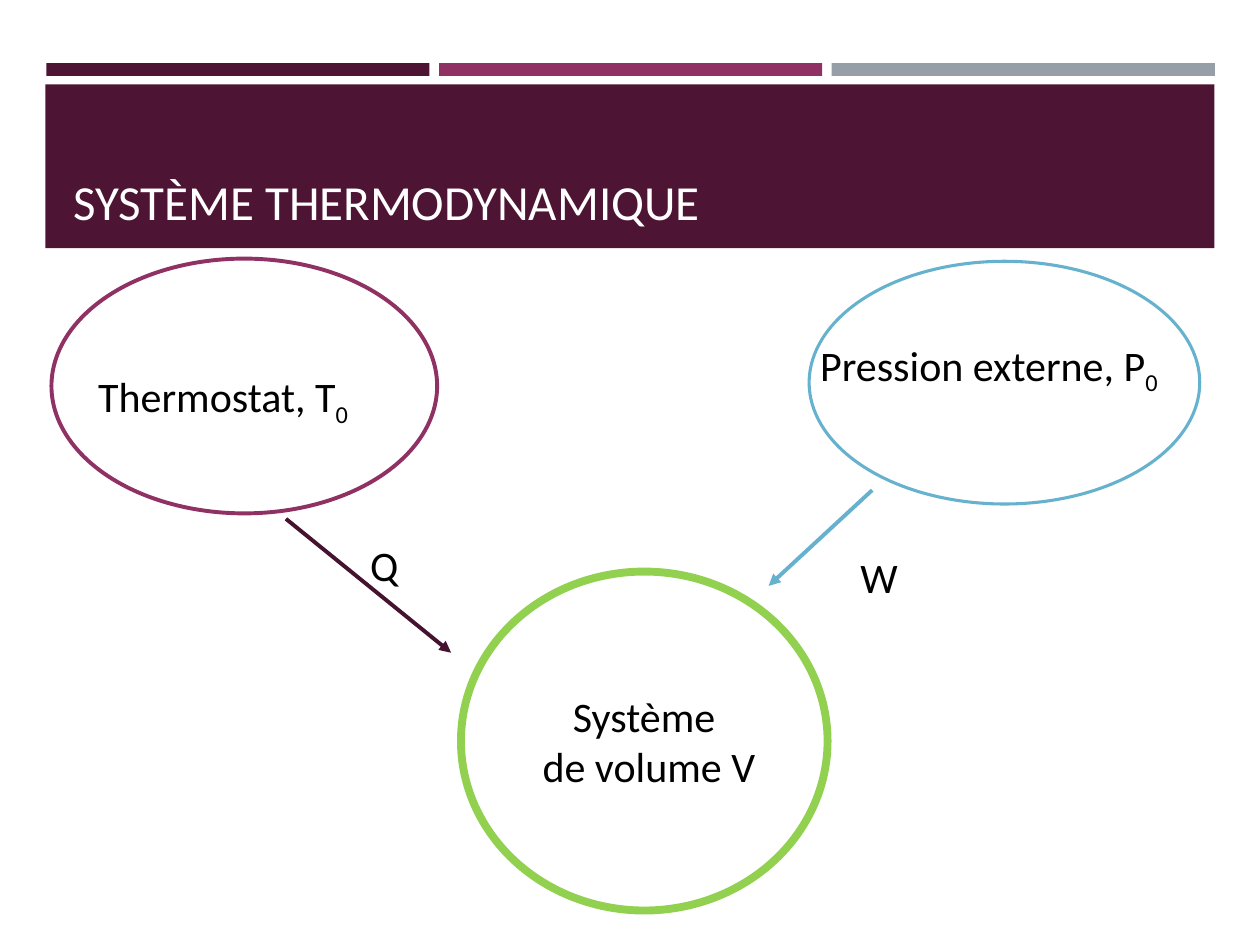
from dataclasses import dataclass

import pptx
import pptx.dml.color
import pptx.enum.shapes
import pptx.enum.text
import pptx.oxml.ns
import pptx.util
from lxml import etree

Pt = pptx.util.Pt
SHAPE = pptx.enum.shapes.MSO_SHAPE
ALIGN = pptx.enum.text.PP_ALIGN
ANCHOR = pptx.enum.text.MSO_ANCHOR


@dataclass(frozen=True)
class Theme:
    font: str = "Calibri"
    title_size: float = 28
    body_size: float = 24
    white: str = "FFFFFF"
    black: str = "000000"
    plum: str = "4D1434"
    magenta: str = "903163"
    grey: str = "969FA7"
    blue: str = "66B1CE"
    green: str = "92D050"
    heat: str = "45122F"


THEME = Theme()


def rgb(color):
    return pptx.dml.color.RGBColor.from_string(color)


def set_values(target, values):
    for name, value in values.items():
        setattr(target, name, value)


def format_run(run, size, color):
    set_values(run.font, {"name": THEME.font, "size": Pt(size), "bold": False})
    run.font.color.rgb = rgb(color)


def add_rectangle(slide, box, color):
    shape = slide.shapes.add_shape(SHAPE.RECTANGLE, *map(Pt, box))
    shape.shadow.inherit = False
    shape.fill.solid()
    shape.fill.fore_color.rgb = rgb(color)
    shape.line.fill.background()


def add_ellipse(slide, box, color, width):
    shape = slide.shapes.add_shape(SHAPE.OVAL, *map(Pt, box))
    shape.shadow.inherit = False
    shape.fill.background()
    shape.line.color.rgb = rgb(color)
    shape.line.width = Pt(width)


def add_label(slide, box, lines, align=ALIGN.LEFT, fill=None):
    """Add a text box; each line is a (text, subscript) pair."""
    shape = slide.shapes.add_textbox(*map(Pt, box))
    if fill:
        shape.fill.solid()
        shape.fill.fore_color.rgb = rgb(fill)
    frame = shape.text_frame
    frame.word_wrap = True
    for index, (text, subscript) in enumerate(lines):
        paragraph = frame.add_paragraph() if index else frame.paragraphs[0]
        paragraph.alignment = align
        for part, baseline in ((text, None), (subscript, "-25000")):
            if not part:
                continue
            run = paragraph.add_run()
            run.text = part
            format_run(run, THEME.body_size, THEME.black)
            if baseline:
                run.font._element.set("baseline", baseline)


def add_arrow(slide, start, end, color):
    connector = slide.shapes.add_connector(
        pptx.enum.shapes.MSO_CONNECTOR.STRAIGHT, *map(Pt, start + end))
    connector.line.color.rgb = rgb(color)
    connector.line.width = Pt(2.25)
    tail = etree.SubElement(connector.line._get_or_add_ln(),
                            pptx.oxml.ns.qn("a:tailEnd"))
    tail.set("type", "triangle")
    etree.SubElement(connector._element.spPr, pptx.oxml.ns.qn("a:effectLst"))


def add_header(slide, text):
    bar_width, pitch = 218.9, 224.4
    for index, color in enumerate((THEME.plum, THEME.magenta, THEME.grey)):
        add_rectangle(slide, (26.5 + index * pitch, 36, bar_width, 7.4), color)
    add_rectangle(slide, (26, 48.3, 668, 93.5), THEME.plum)

    title = slide.shapes.title
    slide.shapes._spTree.append(title._element)  # bring in front of the band
    set_values(title, {"left": Pt(34.6), "top": Pt(55.4),
                       "width": Pt(651.6), "height": Pt(80)})
    frame = title.text_frame
    set_values(frame, {"text": text, "word_wrap": True,
                       "vertical_anchor": ANCHOR.BOTTOM,
                       "auto_size": pptx.enum.text.MSO_AUTO_SIZE.NONE})
    paragraph = frame.paragraphs[0]
    paragraph.alignment = ALIGN.LEFT
    format_run(paragraph.runs[0], THEME.title_size, THEME.white)


def main():
    presentation = pptx.Presentation()
    set_values(presentation, {"slide_width": Pt(720), "slide_height": Pt(540)})
    slide = presentation.slides.add_slide(presentation.slide_layouts[5])

    add_header(slide, "SYSTÈME THERMODYNAMIQUE")

    add_ellipse(slide, (29.4, 147.8, 220.4, 145.6), THEME.magenta, 2.25)
    add_label(slide, (49, 208.2, 181.4, 36), [("Thermostat,\u00a0T", "0")],
              fill=THEME.white)
    add_ellipse(slide, (462.4, 149.3, 223.2, 138.7), THEME.blue, 1.75)
    add_label(slide, (461.6, 190.2, 240.5, 36), [("Pression externe, P", "0")])
    add_ellipse(slide, (263.4, 326.6, 209.5, 193.7), THEME.green, 4.5)
    add_label(slide, (262.8, 391, 216, 65.5),
              [("Système ", ""), ("de volume V", "")], align=ALIGN.CENTER)

    add_arrow(slide, (163.4, 296.5), (257.8, 373), THEME.heat)
    add_arrow(slide, (498.4, 280.1), (439.2, 334.8), THEME.blue)
    add_label(slide, (204.5, 304.6, 216, 36), [("Q", "")])
    add_label(slide, (484.6, 311.8, 216, 36), [("W", "")])

    presentation.save("out.pptx")


if __name__ == "__main__":
    main()
